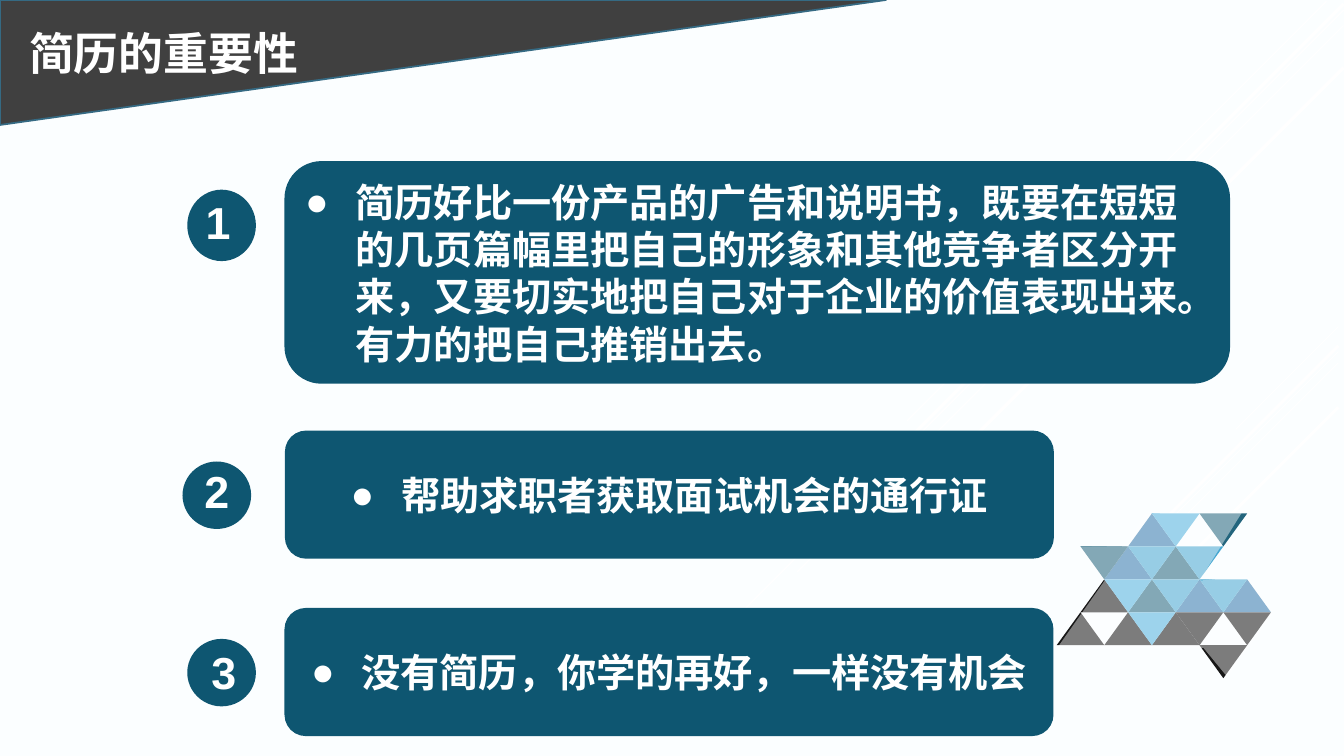
import pptx
import pptx.dml.color
import pptx.enum.lang
import pptx.enum.shapes
import pptx.enum.text
import pptx.oxml
import pptx.oxml.ns
import pptx.util
from dataclasses import dataclass

# Content; lengths in cm
TITLE = "简历的重要性"
CARDS = [  # number, its box, disc, card box, alignment, text
    ("1", (4.93, 4.78, 1.32, 1.63), (4.72, 4.78, 1.73, 1.8),
     (7.17, 4.06, 23.83, 5.61), "LEFT",
     "简历好比一份产品的广告和说明书，既要在短短的几页篇幅里把自己的形象和其他竞争者区分开来，"
     "又要切实地把自己对于企业的价值表现出来。有力的把自己推销出去。"),
    ("2", (4.9, 11.56, 0.81, 1.63), (4.6, 11.63, 1.73, 1.7),
     (7.18, 10.85, 19.38, 3.23), "CENTER", "帮助求职者获取面试机会的通行证"),
    ("3", (5.08, 16.13, 0.94, 1.63), (4.72, 16.1, 1.73, 1.7),
     (7.17, 15.32, 19.38, 3.23), "CENTER", "没有简历，你学的再好，一样没有机会"),
]
RAYS = [  # x and y of the upper end, drop, width in points
    (33.73, 8.23, 2.59, 0.75), (33.73, 8.86, 8.43, 0.75),
    (33.73, 9.14, 5.36, 0.75), (33.73, 8.71, 4.95, 2.25),
    (33.73, 10.26, 3.61, 2.25), (33.43, 0.03, 10.57, 1),
    (33.86, 0.25, 16.89, 1), (33.86, 0.64, 13.77, 1),
    (33.86, 0.1, 13.46, 2.5), (33.86, 1.7, 12.07, 2.5),
]
# Mosaic rows: tiles pointing up, tiles pointing down; a letter is a colour
MOSAIC = [(".N", ".ST"), (".NT", "TBB"), ("KTNN", "SBB"),
          ("KKK", ".SKK"), ("", "..K")]
VEIL = [(28.4, 13.77), (28.83, 12.95), (31.34, 12.85), (30.23, 14.63),
        (31.42, 14.53), (32.08, 15.47), (30.94, 17.07), (30.33, 16.33),
        (26.62, 16.36), (27.84, 14.63), (27.18, 13.79)]
CORNER = [(0, 0), (22.33, 0), (0, 3.15)]


@dataclass
class Theme:
    back: str = "FBFEFF"
    white: str = "FFFFFF"
    teal: str = "0E5671"
    dark: str = "404040"
    edge: str = "356A83"
    head: float = 32
    body: float = 28
    lead: float = 33.8
    latin: str = "Arial"
    asian: str = "Noto Sans CJK SC"


T = Theme()
TILES = {"S": "40ABDB", "B": "349FCD", "N": "1F6BA5", "T": T.teal, "K": "000000"}
Cm, Pt = pptx.util.Cm, pptx.util.Pt
Kind = pptx.enum.shapes.MSO_SHAPE


def color(code):
    return pptx.dml.color.RGBColor.from_string(code)


def node(tag, **attrs):
    item = pptx.oxml.parse_xml(f"<a:{tag} {pptx.oxml.ns.nsdecls('a')}/>")
    for key, val in attrs.items():
        item.set(key, str(val))
    return item


def paint(shape, fill, alpha=None, edge=None):
    """Fill a shape; alpha is its opacity in percent."""
    shape.shadow.inherit = False
    shape.fill.solid()
    shape.fill.fore_color.rgb = color(fill)
    if alpha:
        tint = shape.element.spPr.find(".//" + pptx.oxml.ns.qn("a:srgbClr"))
        tint.append(node("alpha", val=alpha * 1000))
    if edge:
        shape.line.color.rgb = color(edge)
        shape.line.width = Pt(1.25)
    else:
        shape.line.fill.background()


def block(slide, kind, box, fill, **look):
    shape = slide.shapes.add_shape(kind, *map(Cm, box))
    paint(shape, fill, **look)
    return shape


def outline(slide, points, fill, **look):
    spots = [(Cm(x), Cm(y)) for x, y in points]
    form = slide.shapes.build_freeform(*spots[0])
    form.add_line_segments(spots[1:], close=True)
    paint(form.convert_to_shape(), fill, **look)


def write(shape, text, size=T.head, font=T.latin, align="LEFT",
          anchor="TOP", lead=None, bullet=None):
    frame = shape.text_frame
    frame.word_wrap = True
    frame.auto_size = pptx.enum.text.MSO_AUTO_SIZE.NONE
    frame.vertical_anchor = pptx.enum.text.MSO_ANCHOR[anchor]
    para = frame.paragraphs[0]
    para.alignment = pptx.enum.text.PP_ALIGN[align]
    if lead:
        para.line_spacing = Pt(lead)
    if bullet:
        props = para._p.get_or_add_pPr()
        props.set("marL", str(Cm(1.27)))
        props.set("indent", str(-Cm(1.27)))
        props.append(node("buFont", typeface=T.latin))
        props.append(node("buChar", char=bullet))
    run = para.add_run()
    run.text = text
    run.font.size = Pt(size)
    run.font.bold = True
    run.font.name = font
    run.font.color.rgb = color(T.white)
    run.font.language_id = pptx.enum.lang.MSO_LANGUAGE_ID.SIMPLIFIED_CHINESE
    run.font._element.append(node("ea", typeface=font))


def draw_rays(slide):
    for x, y, drop, width in RAYS:
        ray = slide.shapes.add_connector(
            pptx.enum.shapes.MSO_CONNECTOR.STRAIGHT,
            Cm(x), Cm(y), Cm(x - drop), Cm(y + drop))
        ray.line.color.rgb = color(T.white)
        ray.line.width = Pt(width)
        ray.element.spPr.append(node("effectLst"))


def draw_tiles(slide):
    """Lay the mosaic on a lattice whose even rows are shifted half a tile."""
    left, top, wide, high = 27.23, 12.94, 1.2, 0.83
    half = wide / 2
    for row, (ups, downs) in enumerate(MOSAIC):
        y = top + row * high
        start = left + (half if row % 2 == 0 else 0)
        for col, key in enumerate(ups):
            x = start + col * wide
            if key in TILES:
                outline(slide, [(x, y), (x + half, y + high),
                                (x - half, y + high)], TILES[key])
        for col, key in enumerate(downs):
            x = start + col * wide
            if key in TILES:
                outline(slide, [(x, y), (x + wide, y),
                                (x + half, y + high)], TILES[key])


def draw_title(slide):
    outline(slide, CORNER, T.dark, edge=T.edge)
    title = slide.shapes.title
    title.left, title.top, title.width, title.height = map(
        Cm, (0.48, 0.51, 12.04, 1.63))
    write(title, TITLE, font=T.asian, anchor="MIDDLE")
    title.element.getparent().append(title.element)  # in front of the corner


def draw_cards(slide):
    for num, spot, disc, box, align, text in CARDS:
        block(slide, Kind.FLOWCHART_CONNECTOR, disc, T.teal)
        write(slide.shapes.add_textbox(*map(Cm, spot)), num)
        card = block(slide, Kind.ROUNDED_RECTANGLE, box, T.teal)
        write(card, text, size=T.body, align=align, anchor="MIDDLE",
              lead=T.lead, bullet="●")


def main():
    deck = pptx.Presentation()
    deck.slide_width, deck.slide_height = Cm(33.87), Cm(19.05)
    slide = deck.slides.add_slide(deck.slide_layouts[5])
    slide.background.fill.solid()
    slide.background.fill.fore_color.rgb = color(T.back)
    draw_rays(slide)
    draw_tiles(slide)
    block(slide, Kind.RECTANGLE, (0.07, 0, 33.8, 19.05), T.white, alpha=9)
    outline(slide, VEIL, T.white, alpha=44)
    draw_title(slide)
    draw_cards(slide)
    deck.save("out.pptx")


if __name__ == "__main__":
    main()
